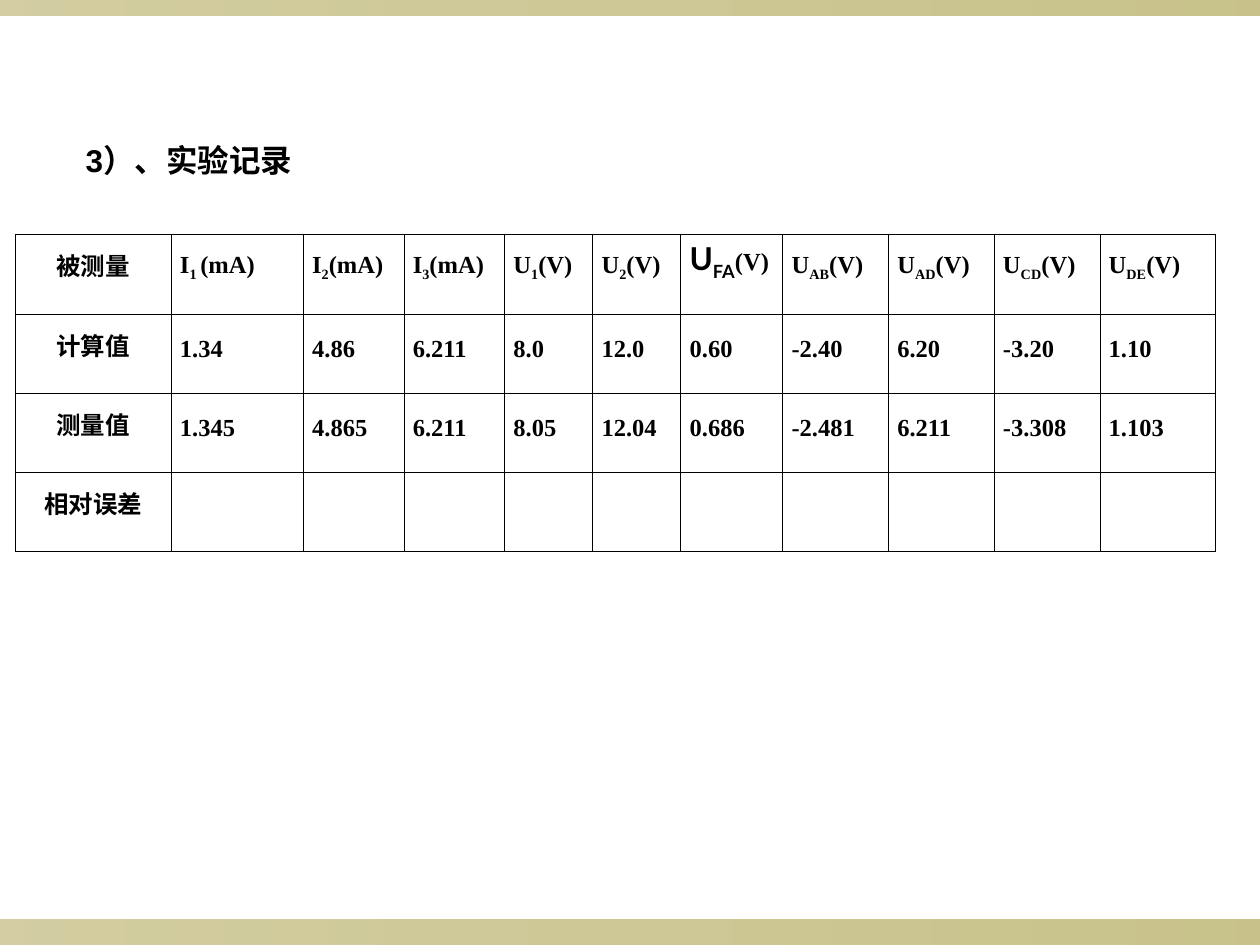
import lxml.etree
import pptx
import pptx.dml.color
import pptx.enum.shapes
import pptx.enum.text
import pptx.oxml
import pptx.oxml.ns
import pptx.util

Inches = pptx.util.Inches
Pt = pptx.util.Pt
Align = pptx.enum.text.PP_ALIGN
qn = pptx.oxml.ns.qn

BLACK = pptx.dml.color.RGBColor(0x00, 0x00, 0x00)
OLIVE = pptx.dml.color.RGBColor(0x91, 0x84, 0x15)
BAND_OPACITY = (40, 50)

COLUMN_WIDTHS = (1.24, 1.05, 0.8, 0.8, 0.7, 0.7, 0.81, 0.84, 0.84, 0.84, 0.92)
ROW_HEIGHTS = (0.64, 0.63, 0.63, 0.63)
ROW_LABELS = ("被测量", "计算值", "测量值", "相对误差")
# symbol, subscript, unit
QUANTITIES = (
    ("I", "1 ", "(mA)"), ("I", "2", "(mA)"), ("I", "3", "(mA)"),
    ("U", "1", "(V)"), ("U", "2", "(V)"), ("U", "FA", "(V)"),
    ("U", "AB", "(V)"), ("U", "AD", "(V)"), ("U", "CD", "(V)"),
    ("U", "DE", "(V)"),
)
CALCULATED = ("1.34", "4.86", "6.211", "8.0", "12.0", "0.60",
              "-2.40", "6.20", "-3.20", "1.10")
MEASURED = ("1.345", "4.865", "6.211", "8.05", "12.04", "0.686",
            "-2.481", "6.211", "-3.308", "1.103")


def add_span(para, text, size=14, face="Times New Roman", subscript=False):
    span = para.add_run()
    span.text = text
    span.font.size = Pt(size)
    span.font.name = face
    span.font.bold = True
    span.font.color.rgb = BLACK
    if subscript:
        span.font._element.set("baseline", "-25000")


def add_band(page, left, top, width, height):
    band = page.shapes.add_shape(
        pptx.enum.shapes.MSO_SHAPE.RECTANGLE,
        Inches(left), Inches(top), Inches(width), Inches(height))
    band.shadow.inherit = False
    band.line.fill.background()
    band.fill.gradient()
    band.fill.gradient_angle = 0
    for stop, opacity in zip(band.fill.gradient_stops, BAND_OPACITY):
        stop.color.rgb = OLIVE
    colours = band._element.spPr.iter(qn("a:srgbClr"))
    for colour, opacity in zip(colours, BAND_OPACITY):
        alpha = lxml.etree.SubElement(colour, qn("a:alpha"))
        alpha.set("val", str(opacity * 1000))


def place_title(page, left, top, width, height):
    title = page.shapes.title
    title.left, title.top = Inches(left), Inches(top)
    title.width, title.height = Inches(width), Inches(height)
    frame = title.text_frame
    frame.word_wrap = False
    frame.auto_size = pptx.enum.text.MSO_AUTO_SIZE.NONE
    frame.vertical_anchor = pptx.enum.text.MSO_ANCHOR.TOP
    para = frame.paragraphs[0]
    para.alignment = Align.LEFT
    add_span(para, "3）、实验记录", 18, "Arial")


def format_cell(cell):
    """Give the cell thin black borders, no fill and its margins."""
    properties = cell._tc.get_or_add_tcPr()
    for side in ("a:lnL", "a:lnR", "a:lnT", "a:lnB"):
        line = lxml.etree.SubElement(properties, qn(side))
        line.set("w", str(Pt(0.45)))
        fill = lxml.etree.SubElement(line, qn("a:solidFill"))
        lxml.etree.SubElement(fill, qn("a:srgbClr")).set("val", str(BLACK))
    cell.fill.background()
    cell.margin_left = cell.margin_right = Inches(0.07)
    cell.margin_top = cell.margin_bottom = Inches(0.05)


def start_para(cell, alignment):
    para = cell.text_frame.paragraphs[0]
    para.alignment = alignment
    para.line_spacing = Pt(24)
    return para


def add_record_table(page, left, top, width, height):
    table = page.shapes.add_table(
        len(ROW_HEIGHTS), len(COLUMN_WIDTHS),
        Inches(left), Inches(top), Inches(width), Inches(height)).table
    table.first_row = table.horz_banding = False
    for column, share in zip(table.columns, COLUMN_WIDTHS):
        column.width = Inches(width * share / sum(COLUMN_WIDTHS))
    for row, share in zip(table.rows, ROW_HEIGHTS):
        row.height = Inches(height * share / sum(ROW_HEIGHTS))
    for cell in table.iter_cells():
        format_cell(cell)

    for index, label in enumerate(ROW_LABELS):
        add_span(start_para(table.cell(index, 0), Align.CENTER), label)
    for index, (symbol, subscript, unit) in enumerate(QUANTITIES, 1):
        para = start_para(table.cell(0, index), Align.JUSTIFY)
        style = (18, "Lato") if subscript == "FA" else (14, "Times New Roman")
        add_span(para, symbol, *style)
        add_span(para, subscript, *style, subscript=True)
        add_span(para, unit)
    for row, values in enumerate((CALCULATED, MEASURED), 1):
        for column, value in enumerate(values, 1):
            para = start_para(table.cell(row, column), Align.JUSTIFY)
            add_span(para, value)


def main():
    deck = pptx.Presentation()
    deck.slide_width, deck.slide_height = Inches(10), Inches(7.5)
    page = deck.slides.add_slide(deck.slide_layouts.get_by_name("Title Only"))
    add_band(page, 0, 7.3, 10, 0.2)
    add_band(page, 0, 0, 10, 0.12)
    add_record_table(page, 0.12, 1.86, 9.53, 2.52)
    place_title(page, 0.58, 1.07, 1.9, 0.4)
    deck.save("out.pptx")


if __name__ == "__main__":
    main()
